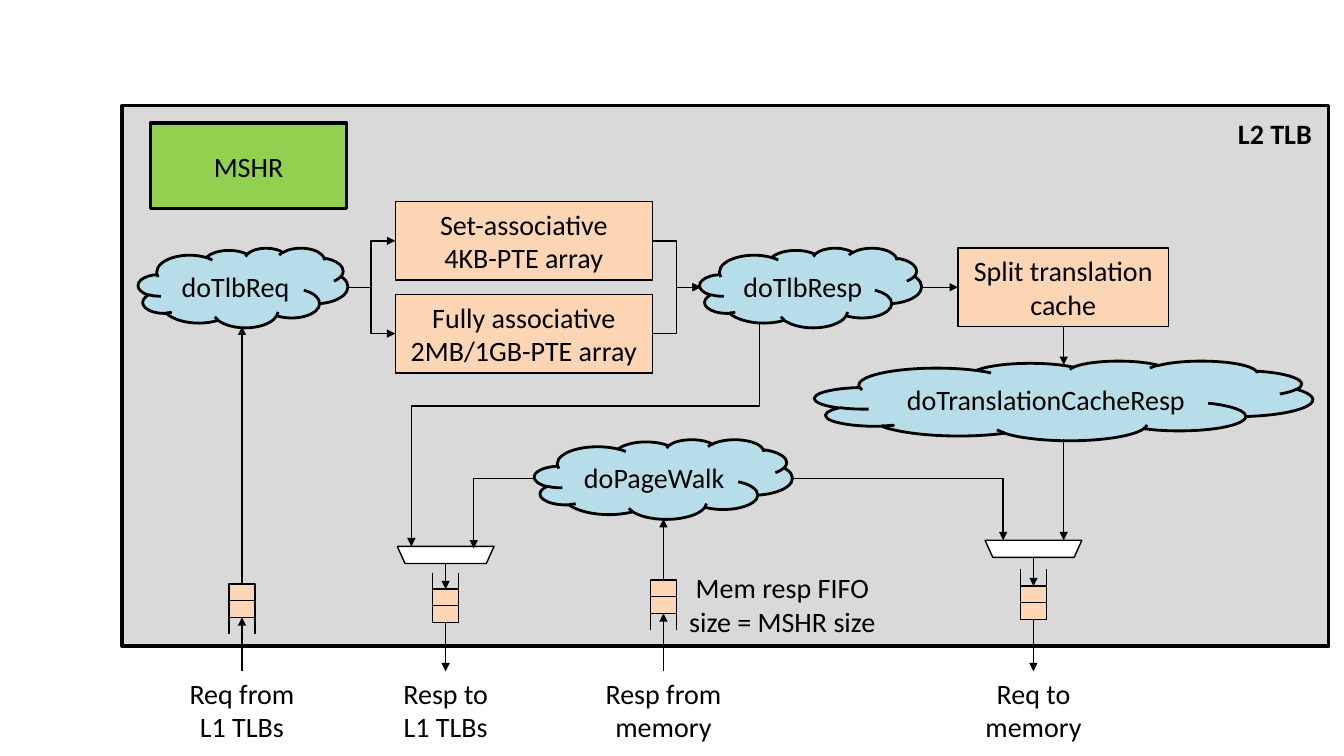
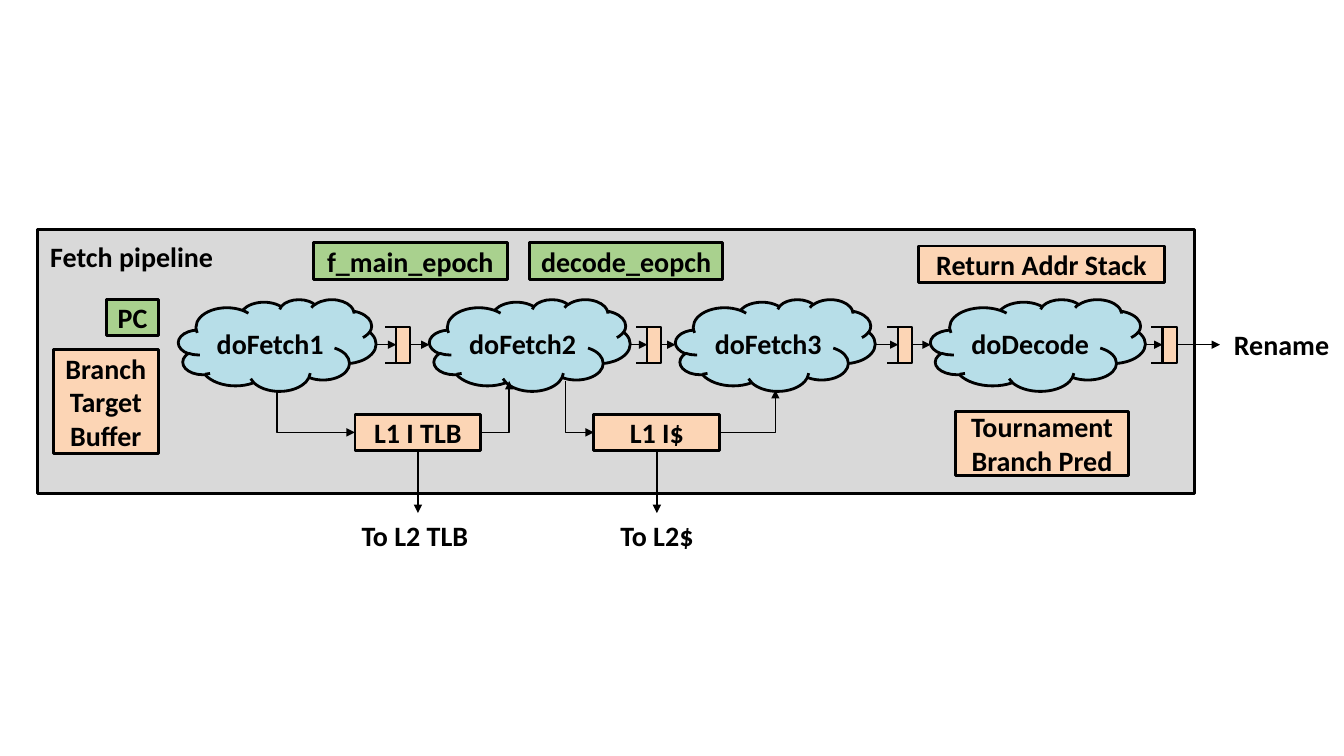
from pptx import Presentation
from pptx.dml.color import RGBColor
from pptx.enum.shapes import MSO_CONNECTOR, MSO_SHAPE
from pptx.enum.text import MSO_ANCHOR, PP_ALIGN
from pptx.oxml.ns import qn
from pptx.util import Inches, Pt
from lxml.etree import SubElement

BLACK = RGBColor(0x00, 0x00, 0x00)
WHITE = RGBColor(0xFF, 0xFF, 0xFF)
GRAY = RGBColor(0xD9, 0xD9, 0xD9)
BLUE = RGBColor(0xB7, 0xDE, 0xE8)
PEACH = RGBColor(0xFC, 0xD5, 0xB5)
LIME = RGBColor(0x92, 0xD0, 0x50)
SAGE = RGBColor(0xA9, 0xD1, 0x8E)

RECT, CLOUD, TRAPEZOID = MSO_SHAPE.RECTANGLE, MSO_SHAPE.CLOUD, MSO_SHAPE.TRAPEZOID
STRAIGHT, ELBOW = MSO_CONNECTOR.STRAIGHT, MSO_CONNECTOR.ELBOW
CENTER, LEFT = PP_ALIGN.CENTER, PP_ALIGN.LEFT
MIDDLE = MSO_ANCHOR.MIDDLE

FONT, TEXT_SIZE = "Calibri", 20


def add_arrowhead(item, end="tailEnd"):
    SubElement(item._element.spPr.find(qn("a:ln")), qn("a:" + end), type="triangle")


def set_text(frame, text, align, bold):
    frame.text = text
    for para in frame.paragraphs:
        para.alignment = align
        for span in para.runs:
            span.font.name = FONT
            span.font.size = Pt(TEXT_SIZE)
            span.font.bold = bold
            span.font.color.rgb = BLACK


def set_outline(item, weight):
    item.line.color.rgb = BLACK
    item.line.width = Pt(weight)


class Diagram:
    """Gray panel whose parts are placed in inches from its top left corner."""

    def __init__(self, page, box, bold=False):
        self.shapes = page.shapes
        self.left, self.top, width, height = box
        self.bold = bold
        self.block((0, 0, width, height), GRAY, weight=2.25)

    def point(self, x, y):
        return Inches(self.left + x), Inches(self.top + y)

    def area(self, box):
        x, y, width, height = box
        return *self.point(x, y), Inches(width), Inches(height)

    def block(self, box, fill, text="", weight=1, kind=RECT):
        shape = self.shapes.add_shape(kind, *self.area(box))
        shape.shadow.inherit = False
        shape.fill.solid()
        shape.fill.fore_color.rgb = fill
        set_outline(shape, weight)
        if text:
            frame = shape.text_frame
            frame.margin_left = frame.margin_right = 0
            frame.margin_top = frame.margin_bottom = 0
            frame.word_wrap = True
            frame.vertical_anchor = MIDDLE
            set_text(frame, text, CENTER, self.bold)
        return shape

    def cloud(self, box, text):
        self.block(box, BLUE, text, 2, CLOUD)

    def label(self, box, text, align=CENTER, wrap=True, bold=None):
        frame = self.shapes.add_textbox(*self.area(box)).text_frame
        frame.word_wrap = wrap
        set_text(frame, text, align, self.bold if bold is None else bold)

    def line(self, start, end, weight=1, kind=STRAIGHT):
        connector = self.shapes.add_connector(kind, *self.point(*start), *self.point(*end))
        set_outline(connector, weight)
        SubElement(connector._element.spPr, qn("a:effectLst"))
        return connector

    def arrow(self, start, end, kind=STRAIGHT):
        add_arrowhead(self.line(start, end, kind=kind))

    def corner(self, side, upright, end="tailEnd"):
        """One bend: level from side, then vertical to upright."""
        connector = self.line(side, upright, kind=ELBOW)
        guides = connector._element.spPr.find(qn("a:prstGeom")).find(qn("a:avLst"))
        SubElement(guides, qn("a:gd"), name="adj1", fmla="val 100000")
        add_arrowhead(connector, end)

    def polyline_arrow(self, points):
        first, *rest = [self.point(*point) for point in points]
        builder = self.shapes.build_freeform(*first)
        builder.add_line_segments(rest, close=False)
        shape = builder.convert_to_shape()
        shape.shadow.inherit = False
        shape.fill.background()
        set_outline(shape, 1)
        add_arrowhead(shape)


# Queues and ports of the TLB
FIFO_WIDTH, FIFO_HEIGHT = 0.26, 0.33
PORT_END = 5.61


def add_fifo(diagram, x, y, direction):
    """Two slots centred on x, y; rails open down (1) or up (-1)."""
    left, right = x - FIFO_WIDTH / 2, x + FIFO_WIDTH / 2
    diagram.block((left, y - FIFO_HEIGHT / 2, FIFO_WIDTH, FIFO_HEIGHT), PEACH)
    diagram.line((left, y), (right, y))
    for rail in (left, right):
        diagram.line((rail, y), (rail, y + direction * FIFO_HEIGHT))


def add_port_label(diagram, x, width, text):
    diagram.label((x - width / 2, PORT_END, width, 0.77), text)


def add_input(diagram, x, y, target, width, text):
    add_fifo(diagram, x, y, 1)
    diagram.arrow((x, PORT_END), (x, y + FIFO_HEIGHT / 2))
    diagram.arrow((x, y - FIFO_HEIGHT / 2), (x, target))
    add_port_label(diagram, x, width, text)


def add_output(diagram, x, y, mux_top, width, text):
    mux_width, mux_height = 0.96, 0.17
    mux = diagram.block((x - mux_width / 2, mux_top, mux_width, mux_height),
                        WHITE, kind=TRAPEZOID)
    mux.rotation = 180
    mux.adjustments[0] = 0.45
    add_fifo(diagram, x, y, -1)
    diagram.arrow((x, mux_top + mux_height), (x, y - FIFO_HEIGHT / 2))
    diagram.arrow((x, y + FIFO_HEIGHT / 2), (x, PORT_END))
    add_port_label(diagram, x, width, text)


def draw_tlb(page, box):
    diagram = Diagram(page, box)
    diagram.label((10.97, 0.06, 0.94, 0.44), "L2 TLB", LEFT, wrap=False, bold=True)

    # Rules and storage
    diagram.block((0.28, 0.17, 1.95, 0.85), LIME, "MSHR", 2.25)
    for x, y, width, text in (
        (0.16, 1.41, 2.08, "doTlbReq"),
        (5.73, 1.41, 2.2, "doTlbResp"),
        (6.87, 2.53, 4.94, "doTranslationCacheResp"),
        (4.09, 3.31, 2.56, "doPageWalk"),
    ):
        diagram.cloud((x, y, width, 0.79), text)
    for x, y, width, text in (
        (2.71, 0.95, 2.55, "Set-associative\n4KB-PTE array"),
        (2.71, 1.87, 2.55, "Fully associative\n2MB/1GB-PTE array"),
        (8.29, 1.41, 2.09, "Split translation cache"),
    ):
        diagram.block((x, y, width, 0.78), PEACH, text)

    # Lookup flow
    for array_y in (1.34, 2.26):
        diagram.arrow((2.23, 1.8), (2.71, array_y), ELBOW)
        diagram.arrow((5.26, array_y), (5.74, 1.8), ELBOW)
    diagram.arrow((7.93, 1.8), (8.29, 1.8))
    diagram.arrow((9.34, 2.19), (9.34, 2.57))

    # Ports
    add_input(diagram, 1.19, 4.91, 2.19, 1.5, "Req from L1 TLBs")
    add_output(diagram, 3.21, 4.96, 4.37, 1.24, "Resp to L1 TLBs")
    add_input(diagram, 5.37, 4.87, 4.1, 1.49, "Resp from memory")
    add_output(diagram, 9.04, 4.93, 4.31, 1.49, "Req to memory")
    diagram.label((5.47, 4.56, 2.16, 0.77), "Mem resp FIFO size = MSHR size")

    # Flow into the multiplexers
    diagram.arrow((9.34, 3.31), (9.34, 4.31))
    diagram.corner((4.09, 3.7), (3.49, 4.39))
    diagram.corner((6.64, 3.7), (8.74, 4.31))
    diagram.polyline_arrow([(6.32, 2.16), (6.32, 2.98), (2.87, 2.98), (2.87, 4.37)])


def add_latch(diagram, left, middle):
    width, height, rail = 0.14, 0.36, 0.18
    center = left + width / 2
    diagram.block((left, middle - height / 2, width, height), PEACH, weight=1.5)
    for y in (middle - height / 2, middle + height / 2):
        diagram.line((center, y), (center - rail, y), 1.5)
    return left + width


def draw_fetch(page, box):
    diagram = Diagram(page, box, bold=True)
    diagram.label((0.03, 0.05, 1.83, 0.44), "Fetch pipeline", LEFT, wrap=False)

    # Registers and predictors
    for part, fill, text in (
        ((0.69, 0.69, 0.51, 0.36), SAGE, "PC"),
        ((2.74, 0.13, 1.92, 0.36), SAGE, "f_main_epoch"),
        ((4.88, 0.13, 1.92, 0.36), SAGE, "decode_eopch"),
        ((0.16, 1.19, 1.04, 1.03), PEACH, "Branch\nTarget\nBuffer"),
        ((9.11, 1.8, 1.71, 0.64), PEACH, "Tournament Branch Pred"),
        ((8.74, 0.16, 2.44, 0.36), PEACH, "Return Addr Stack"),
    ):
        diagram.block(part, fill, text, 2)

    # Stages, each followed by a latch
    middle, exit_x = 1.14, 11.73
    stages = (
        (1.4, 1.96, 3.56, "doFetch1"),
        (3.89, 1.99, 6.05, "doFetch2"),
        (6.33, 1.98, 8.54, "doFetch3"),
        (8.86, 2.13, 11.16, "doDecode"),
    )
    targets = [stage[0] for stage in stages[1:]] + [exit_x]
    for (left, width, latch, text), target in zip(stages, targets):
        diagram.cloud((left, 0.69, width, 0.91), text)
        latch_right = add_latch(diagram, latch, middle)
        diagram.arrow((left + width, middle), (latch, middle))
        diagram.arrow((latch_right, middle), (target, middle))
    diagram.label((exit_x - 0.03, 0.92, 1.28, 0.44), "Rename")

    # Caches: request from a stage, response to the next
    cache_y, cache_width, cache_height = 1.83, 1.25, 0.36
    row = cache_y + cache_height / 2
    for left, text, source, target, below, label_shift in (
        (3.15, "L1 I TLB", (2.38, 1.59), (4.68, 1.5), "To L2 TLB", -0.03),
        (5.52, "L1 I$", (5.24, 1.5), (7.32, 1.59), "To L2$", 0),
    ):
        center = left + cache_width / 2
        diagram.block((left, cache_y, cache_width, cache_height), PEACH, text, 2)
        diagram.corner((left, row), source, "headEnd")
        diagram.corner((left + cache_width, row), target)
        diagram.arrow((center, cache_y + cache_height), (center, 2.81))
        diagram.label((center - 0.86 + label_shift, 2.81, 1.72, 0.44), below)


deck = Presentation()
deck.slide_width, deck.slide_height = Inches(13.33), Inches(7.5)
blank = deck.slide_layouts[6]
draw_tlb(deck.slides.add_slide(blank), (1.21, 1.05, 11.97, 5.36))
draw_fetch(deck.slides.add_slide(blank), (0.37, 2.28, 11.48, 2.62))
deck.save("out.pptx")
